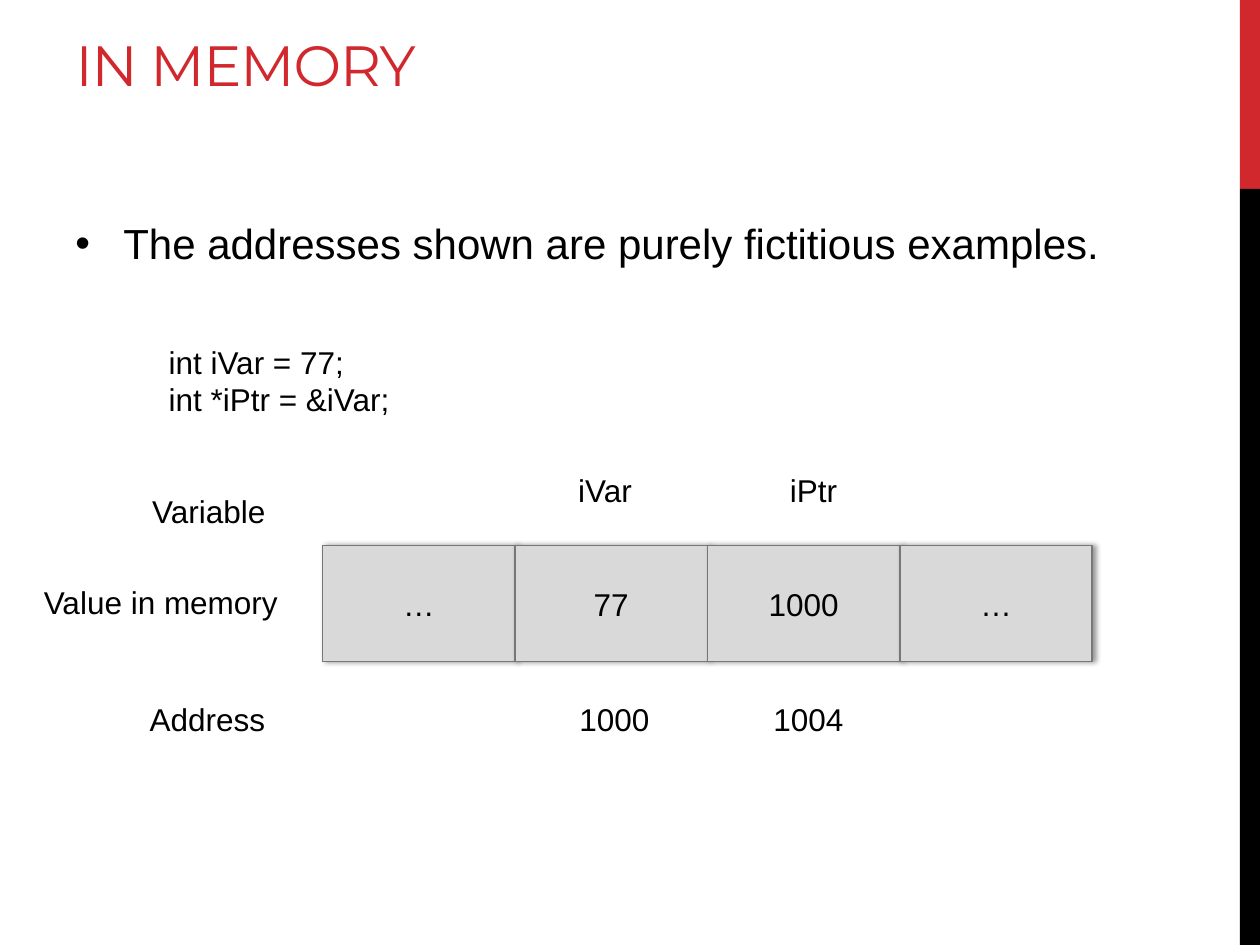
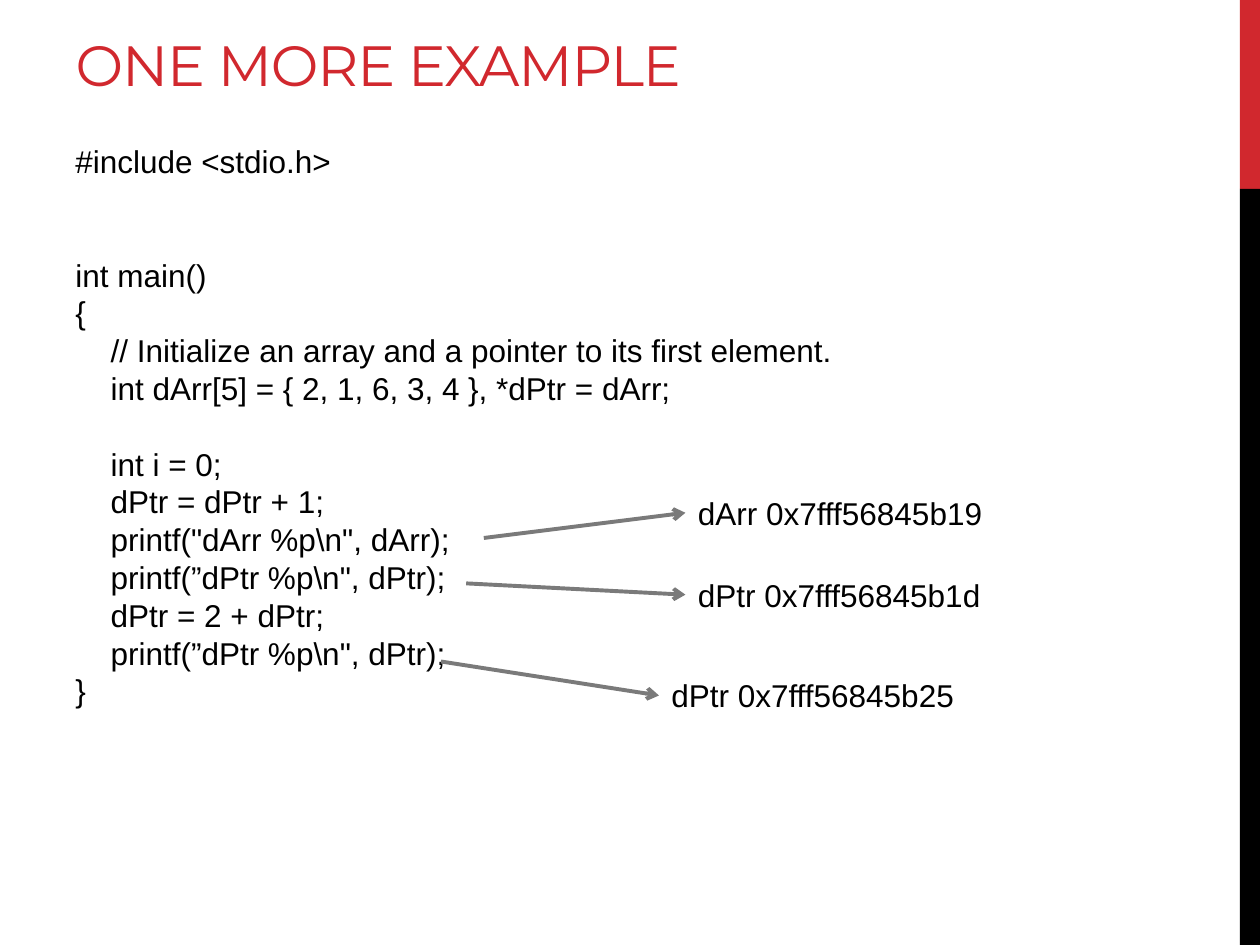
from lxml import etree
from pptx import Presentation
from pptx.dml.color import RGBColor
from pptx.enum.dml import MSO_LINE
from pptx.enum.shapes import MSO_CONNECTOR, MSO_SHAPE
from pptx.enum.text import MSO_ANCHOR, MSO_AUTO_SIZE, PP_ALIGN
from pptx.oxml.ns import qn
from pptx.util import Inches, Pt

RECTANGLE = MSO_SHAPE.RECTANGLE
STRAIGHT = MSO_CONNECTOR.STRAIGHT
SOLID = MSO_LINE.SOLID
MIDDLE, BOTTOM = MSO_ANCHOR.MIDDLE, MSO_ANCHOR.BOTTOM
LEFT, CENTER = PP_ALIGN.LEFT, PP_ALIGN.CENTER
FIT_SHAPE, NO_FIT = MSO_AUTO_SIZE.SHAPE_TO_FIT_TEXT, MSO_AUTO_SIZE.NONE

COLORS = {"red": "D1282E", "black": "000000", "cell": "D9D9D9",
          "border": "777777", "arrow": "7A7A7A"}
BODY_FONT, TITLE_FONT = "Arial", "Montserrat"
LINE_HEIGHT = 21.6
LABEL_HEIGHT = 0.4


def color(name):
    return RGBColor.from_string(COLORS[name])


def format_text(para, size=18, font=BODY_FONT, tint="black"):
    for span in para.runs:
        span.font.name = font
        span.font.size = Pt(size)
        span.font.color.rgb = color(tint)


def add_rectangle(shapes, box, fill):
    shape = shapes.add_shape(RECTANGLE, *map(Inches, box))
    shape.fill.solid()
    shape.fill.fore_color.rgb = color(fill)
    shape.line.fill.background()
    shape.shadow.inherit = False
    return shape


def add_text(page, box, text, size=18, wrap=False):
    text_box = page.shapes.add_textbox(*map(Inches, box))
    frame = text_box.text_frame
    frame.text = text
    frame.word_wrap = wrap
    frame.auto_size = NO_FIT if wrap else FIT_SHAPE
    for para in frame.paragraphs:
        para.alignment = LEFT
        format_text(para, size)
    return text_box


def set_line_height(frame):
    for para in frame.paragraphs:
        para.line_spacing = Pt(LINE_HEIGHT)


def add_page(deck, heading):
    page = deck.slides.add_slide(deck.slide_layouts[5])
    add_rectangle(page.shapes, (9.84, 0, 0.16, 1.5), "red")
    add_rectangle(page.shapes, (9.84, 1.5, 0.16, 6), "black")
    title = page.shapes.title
    title.left, title.top, title.width, title.height = map(
        Inches, (0.5, 0.17, 9.02, 0.66))
    frame = title.text_frame
    frame.text = heading
    frame.auto_size = NO_FIT
    frame.vertical_anchor = BOTTOM
    para = frame.paragraphs[0]
    para.alignment = LEFT
    format_text(para, 32.4, TITLE_FONT, "red")
    para.runs[0].font._element.set("spc", "-60")
    return page


def add_bullet(page, box, text):
    para = add_text(page, box, text, 24, True).text_frame.paragraphs[0]
    para.space_before = Pt(3)
    para.space_after = Pt(6)
    properties = para._p.get_or_add_pPr()
    properties.set("marL", str(Inches(0.38)))
    properties.set("indent", str(Inches(-0.38)))
    etree.SubElement(properties, qn("a:buFont"), typeface=BODY_FONT)
    etree.SubElement(properties, qn("a:buChar"), char="•")


def add_cell_shadow(shape):
    effects = shape._element.spPr.find(qn("a:effectLst"))
    shadow = etree.SubElement(effects, qn("a:outerShdw"), blurRad=str(Pt(3.1)),
                              dist=str(Pt(1.8)), dir="0", rotWithShape="0")
    tint = etree.SubElement(shadow, qn("a:srgbClr"), val=COLORS["black"])
    etree.SubElement(tint, qn("a:alpha"), val="40000")


def add_memory_cells(page, box, values):
    left, top, width, height = box
    cell_width = width / len(values)
    group = page.shapes.add_group_shape()
    for index, value in enumerate(values):
        cell_box = (left + index * cell_width, top, cell_width, height)
        cell = add_rectangle(group.shapes, cell_box, "cell")
        cell.line.color.rgb = color("border")
        cell.line.width = Pt(1)
        add_cell_shadow(cell)
        frame = cell.text_frame
        frame.text = value
        frame.vertical_anchor = MIDDLE
        frame.paragraphs[0].alignment = CENTER
        format_text(frame.paragraphs[0])


def add_memory_labels(page, box):
    left, top = box[:2]
    labels = [("Variable", -1.45, -0.47, 1.12), ("Value in memory", -2.31, 0.25, 2.1),
              ("Address", -1.47, 1.18, 1.14), ("iVar", 1.93, -0.64, 0.64),
              ("iPtr", 3.61, -0.64, 0.58), ("1000", 1.94, 1.18, 0.76),
              ("1004", 3.48, 1.18, 0.76)]
    for text, across, down, width in labels:
        add_text(page, (left + across, top + down, width, LABEL_HEIGHT), text)


def add_program(page, box, lines):
    frame = add_text(page, box, "\n".join(text for text, _, _ in lines), wrap=True).text_frame
    set_line_height(frame)
    for para, (_, indented, gap_lines) in zip(frame.paragraphs, lines):
        para.space_before = Pt(gap_lines * LINE_HEIGHT)
        if indented:
            para._p.get_or_add_pPr().set("marL", str(Inches(0.28)))


def add_output(page, box, text, start):
    label = add_text(page, box, text)
    left, top, _, height = box
    arrow = page.shapes.add_connector(
        STRAIGHT, *map(Inches, (*start, left, top + height / 2)))
    arrow.end_connect(label, 1)
    arrow.line.color.rgb = color("arrow")
    arrow.line.width = Pt(2.25)
    arrow.line.dash_style = SOLID
    etree.SubElement(arrow.line._get_or_add_ln(), qn("a:tailEnd"), type="arrow")
    etree.SubElement(arrow._element.spPr, qn("a:effectLst"))


def build_memory_page(deck):
    page = add_page(deck, "IN MEMORY")
    add_bullet(page, (0.5, 1.68, 9.02, 1.18),
               "The addresses shown are purely fictitious examples.")
    declarations = add_text(page, (1.24, 2.67, 1.97, 0.71),
                            "int iVar = 77;\nint *iPtr = &iVar;")
    set_line_height(declarations.text_frame)
    memory_box = (2.56, 4.33, 6.11, 0.92)
    add_memory_cells(page, memory_box, ["…", "77", "1000", "…"])
    add_memory_labels(page, memory_box)


def build_example_page(deck):
    page = add_page(deck, "ONE MORE EXAMPLE")
    add_program(page, (0.5, 1.08, 6.26, 4.64), [
        ("#include <stdio.h>", False, 0),
        ("int main()", False, 2),
        ("{", False, 0),
        ("// Initialize an array and a pointer to its first element.", True, 0),
        ("int dArr[5] = { 2, 1, 6, 3, 4 }, *dPtr = dArr;", True, 0),
        ("int i = 0;", True, 1),
        ("dPtr = dPtr + 1;", True, 0),
        ('printf("dArr %p\\n", dArr);', True, 0),
        ('printf(”dPtr %p\\n", dPtr);', True, 0),
        ("dPtr = 2 + dPtr;", True, 0),
        ('printf(”dPtr %p\\n", dPtr);', True, 0),
        ("}", False, 0),
    ])
    outputs = [("dArr 0x7fff56845b19", 5.44, 3.87, 2.48, (3.84, 4.27)),
               ("dPtr 0x7fff56845b1d", 5.44, 4.52, 2.46, (3.7, 4.63)),
               ("dPtr 0x7fff56845b25", 5.23, 5.32, 2.46, (3.5, 5.25))]
    for text, left, top, width, start in outputs:
        add_output(page, (left, top, width, LABEL_HEIGHT), text, start)


def main():
    deck = Presentation()
    deck.slide_width, deck.slide_height = Inches(10), Inches(7.5)
    build_memory_page(deck)
    build_example_page(deck)
    deck.save("out.pptx")


if __name__ == "__main__":
    main()
